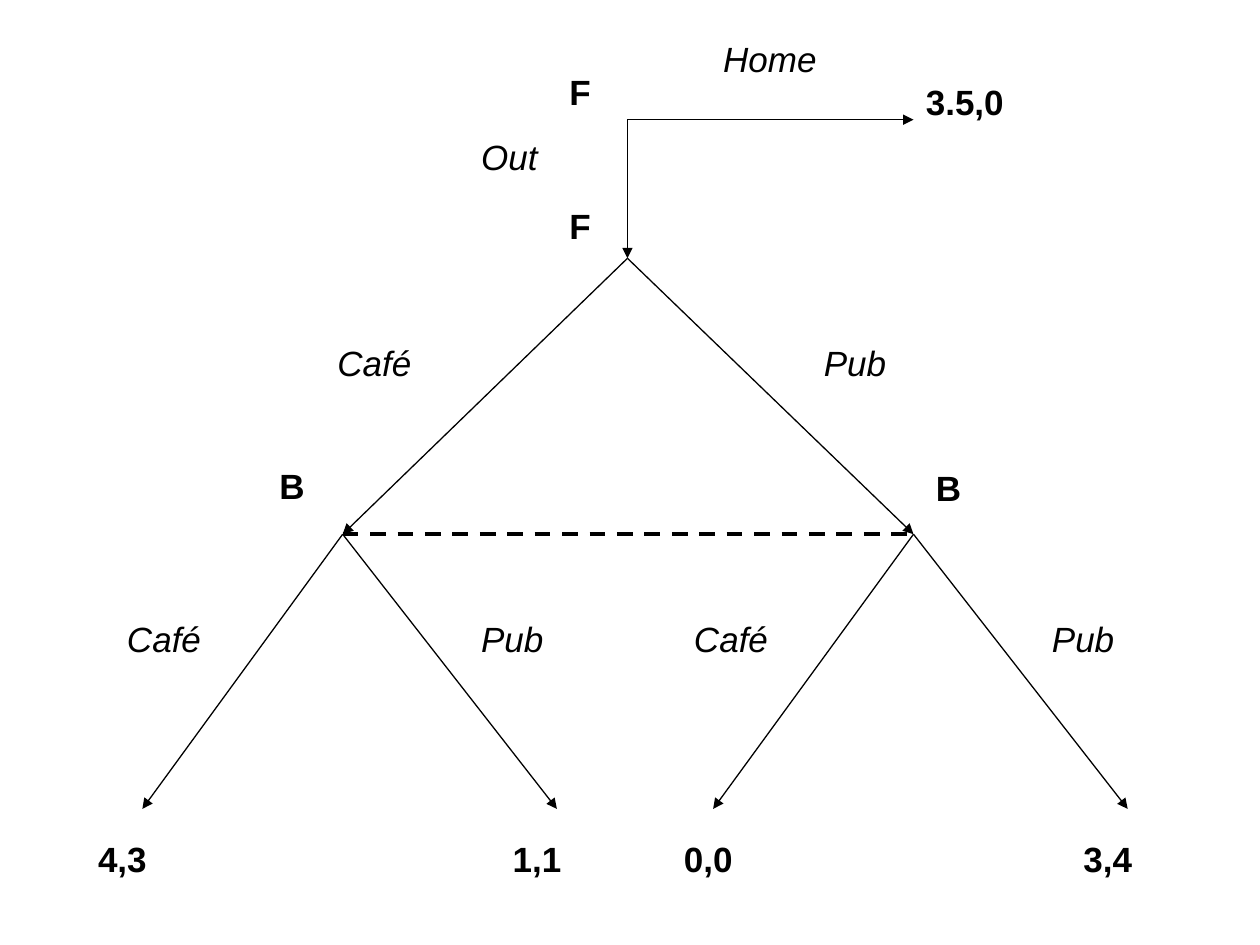
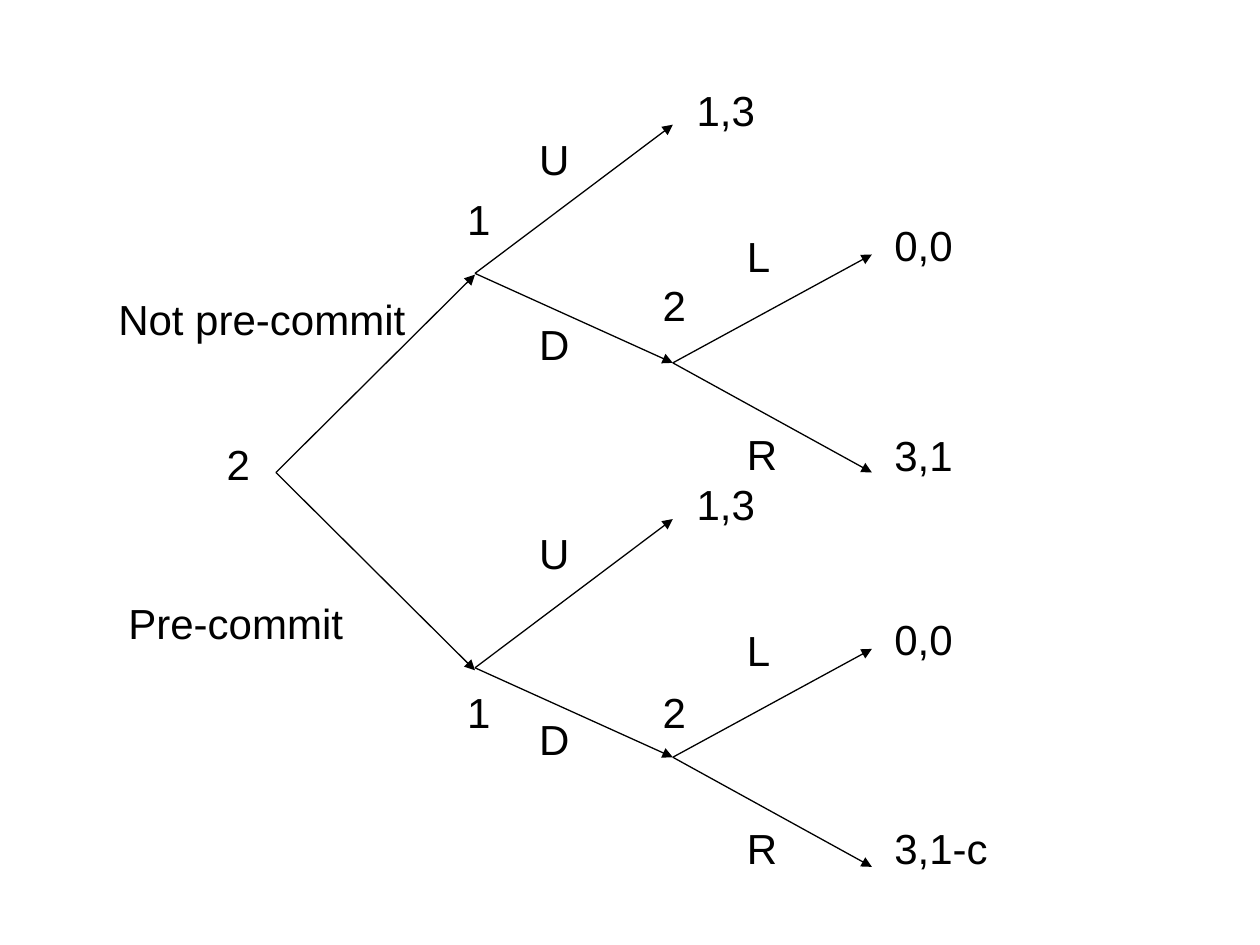
import dataclasses
import typing

import lxml.etree
import pptx
import pptx.dml.color
import pptx.enum.dml
import pptx.enum.shapes
import pptx.enum.text
import pptx.oxml.ns
import pptx.slide
import pptx.util

PX = pptx.util.Inches(1) // 100
PAGE_WIDTH, PAGE_HEIGHT = 1000, 750
BLANK_LAYOUT = 6
FONT = "Arial"
COLOURS = {"ink": "000000", "paper": "FFFFFF"}

Point = tuple[int, int]


@dataclasses.dataclass(frozen=True)
class TextStyle:
    size: int
    height: int
    bold: bool = False
    italic: bool = False


@dataclasses.dataclass(frozen=True)
class Label:
    text: str
    left: int
    top: int
    width: int


@dataclasses.dataclass(frozen=True)
class Branch:
    start: Point
    end: Point


NODE = TextStyle(20, 44, bold=True)
MOVE = TextStyle(20, 44, italic=True)
PLAIN = TextStyle(24, 50)


def colour(name: str) -> pptx.dml.color.RGBColor:
    return pptx.dml.color.RGBColor.from_string(COLOURS[name])


def add_page(deck: typing.Any) -> pptx.slide.Slide:
    page = deck.slides.add_slide(deck.slide_layouts[BLANK_LAYOUT])
    page.background.fill.solid()
    page.background.fill.fore_color.rgb = colour("paper")
    return page


def draw_line(page: pptx.slide.Slide, branch: Branch, points: float = 0.75) -> typing.Any:
    ends = [length * PX for length in (*branch.start, *branch.end)]
    line = page.shapes.add_connector(pptx.enum.shapes.MSO_CONNECTOR.STRAIGHT, *ends)
    line.line.color.rgb = colour("ink")
    line.line.width = pptx.util.Pt(points)
    lxml.etree.SubElement(line.element.spPr, pptx.oxml.ns.qn("a:effectLst"))
    return line


def draw_arrows(page: pptx.slide.Slide, branches: list[Branch]) -> None:
    for branch in branches:
        arrow = draw_line(page, branch)
        outline = arrow.element.spPr.find(pptx.oxml.ns.qn("a:ln"))
        lxml.etree.SubElement(outline, pptx.oxml.ns.qn("a:tailEnd"), type="triangle")


def draw_labels(page: pptx.slide.Slide, labels: list[Label], style: TextStyle) -> None:
    for label in labels:
        box = page.shapes.add_textbox(
            label.left * PX, label.top * PX, label.width * PX, style.height * PX
        )
        frame = box.text_frame
        frame.word_wrap = False
        frame.auto_size = pptx.enum.text.MSO_AUTO_SIZE.SHAPE_TO_FIT_TEXT
        para = frame.paragraphs[0]
        para.text = label.text
        para.font.name = FONT
        para.font.size = pptx.util.Pt(style.size)
        para.font.bold = style.bold
        para.font.italic = style.italic
        para.font.color.rgb = colour("ink")


def build_outing_game(deck: typing.Any) -> None:
    page = add_page(deck)
    root, venue_choice = (498, 95), (498, 205)
    cafe_node, pub_node = (272, 424), (725, 424)
    branches = [
        Branch(root, (725, 95)),
        Branch(root, venue_choice),
        Branch(venue_choice, cafe_node),
        Branch(venue_choice, pub_node),
    ]
    for x, y in (cafe_node, pub_node):
        branches += [Branch((x, y), (x + reach, 642)) for reach in (-159, 170)]
    draw_arrows(page, branches)

    nodes = [
        Label("F", 442, 51, 37),
        Label("F", 442, 157, 37),
        Label("B", 212, 364, 40),
        Label("B", 733, 365, 40),
        Label("3.5,0", 725, 59, 83),
    ]
    payoffs = {"4,3": 68, "1,1": 397, "0,0": 533, "3,4": 850}
    nodes += [Label(text, left, 660, 60) for text, left in payoffs.items()]
    draw_labels(page, nodes, NODE)

    moves = [Label("Home", 564, 25, 95), Label("Out", 372, 103, 66)]
    for cafe_left, pub_left, top in ((258, 644, 266), (91, 372, 485), (541, 825, 485)):
        moves += [Label("Café", cafe_left, top, 80), Label("Pub", pub_left, top, 71)]
    draw_labels(page, moves, MOVE)

    information_set = draw_line(page, Branch(cafe_node, pub_node), 2.25)
    information_set.line.dash_style = pptx.enum.dml.MSO_LINE.DASH


def draw_subgame(page: pptx.slide.Slide, top: int, last_payoff: Label) -> None:
    first, second = (377, top), (534, top + 71)
    draw_arrows(page, [
        Branch(first, (534, top - 118)),
        Branch(first, second),
        Branch(second, (692, top + 158)),
        Branch(second, (692, top - 15)),
    ])
    labels = [
        Label("U", 418, top - 116, 44),
        Label("D", 418, top + 31, 44),
        Label("L", 583, top - 39, 38),
        Label("R", 583, top + 118, 44),
        Label("1,3", 543, top - 155, 67),
        Label("0,0", 700, top - 48, 67),
        last_payoff,
    ]
    draw_labels(page, labels, PLAIN)


def build_commitment_game(deck: typing.Any) -> None:
    page = add_page(deck)
    root = (219, 375)
    draw_arrows(page, [Branch(root, (377, 218)), Branch(root, (377, 532))])
    draw_subgame(page, 217, Label("3,1", 700, 336, 67))
    draw_subgame(page, 530, Label("3,1-c", 700, 648, 95))
    draw_labels(page, [
        Label("1", 361, 149, 38),
        Label("1", 361, 540, 38),
        Label("2", 516, 540, 38),
        Label("2", 516, 217, 38),
        Label("2", 170, 343, 38),
        Label("Not pre-commit", 84, 228, 249),
        Label("Pre-commit", 92, 469, 192),
    ], PLAIN)


def main() -> None:
    deck = pptx.Presentation()
    deck.slide_width = PAGE_WIDTH * PX
    deck.slide_height = PAGE_HEIGHT * PX
    build_outing_game(deck)
    build_commitment_game(deck)
    deck.save("out.pptx")


if __name__ == "__main__":
    main()
